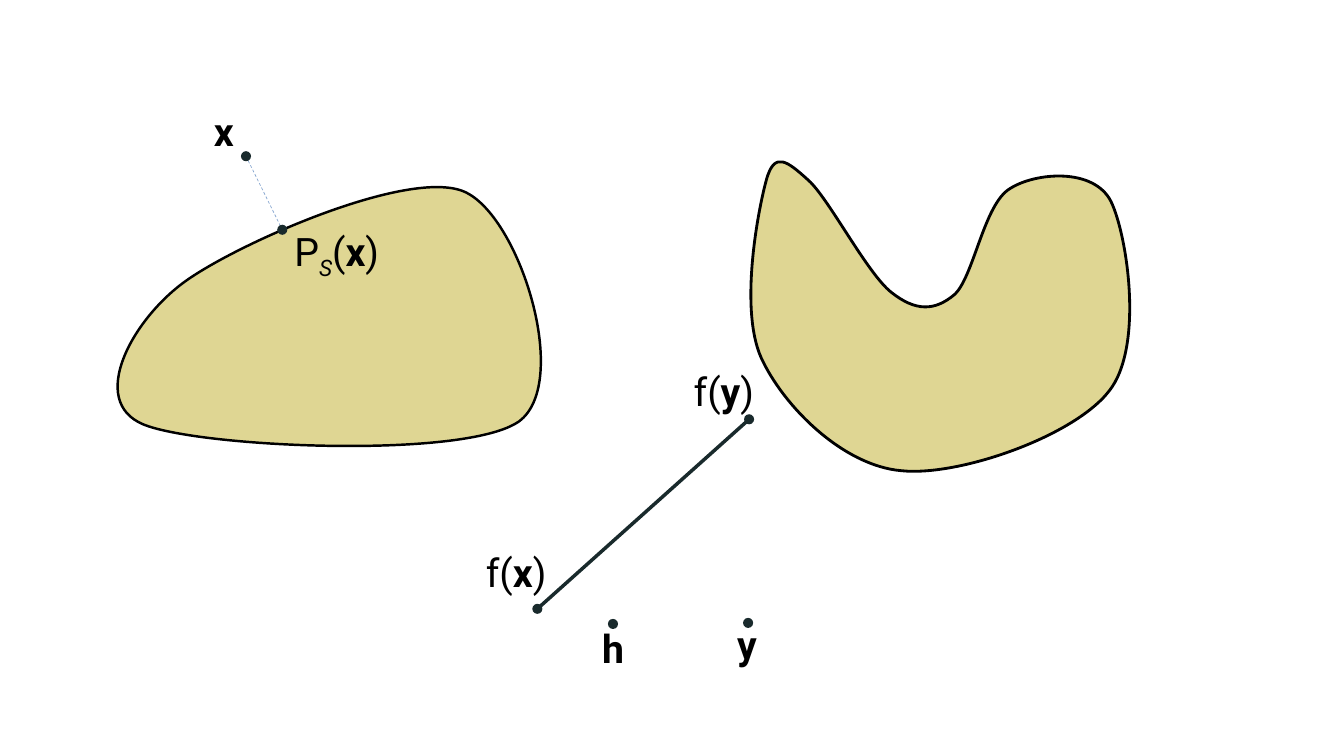
from lxml import etree
from pptx import Presentation
from pptx.dml.color import RGBColor
from pptx.enum import dml, shapes, text
from pptx.oxml import ns
from pptx.util import Inches, Pt

COLORS = {"set": "DFD693", "outline": "000000", "ink": "192A2C",
          "label": "000000", "projection": "87A7D0"}
DOT = 0.1
LABEL_W, LABEL_H = 1.1, 0.57
BOLD, SUBSCRIPT = {"bold": True}, {"italic": True}

# Region boxes: left, top, width, height
CONVEX_BOX = (1.17, 1.86, 4.2, 2.57)
NONCONVEX_BOX = (7.44, 1.6, 3.76, 3.08)
MAPPING_BOX = (5.33, 4.16, 2.1, 1.88)

# Outlines: start point, then two controls and an end per curve, from the box corner
CONVEX = [(0.67, 0.93),
          (1.2, 0.55), (2.88, -0.19), (3.43, 0.04),
          (3.98, 0.27), (4.5, 1.93), (3.98, 2.32),
          (3.45, 2.7), (0.8, 2.58), (0.25, 2.35),
          (-0.3, 2.12), (0.14, 1.31), (0.67, 0.93)]
NONCONVEX = [(0.58, 0.19),
             (0.78, 0.37), (1.16, 1.11), (1.4, 1.3),
             (1.64, 1.49), (1.83, 1.49), (2.03, 1.32),
             (2.22, 1.14), (2.32, 0.42), (2.58, 0.27),
             (2.83, 0.11), (3.41, 0.06), (3.58, 0.4),
             (3.74, 0.73), (3.91, 1.84), (3.56, 2.28),
             (3.21, 2.73), (2.07, 3.13), (1.5, 3.07),
             (0.92, 3.02), (0.33, 2.43), (0.11, 1.95),
             (-0.11, 1.46), (0.08, 0.48), (0.16, 0.19),
             (0.24, -0.11), (0.37, 0), (0.58, 0.19)]


def color(name):
    return RGBColor.from_string(COLORS[name])


def apply(target, values):
    for key, value in values.items():
        setattr(target, key, value)


def add_set(slide, box, outline, weight):
    """Draw a closed region bounded by smooth curves."""
    left, top, width, height = (Inches(v) for v in box)
    builder = slide.shapes.build_freeform(left, top)
    builder.add_line_segments([(left + width, top), (left + width, top + height),
                               (left, top + height)])
    region = builder.convert_to_shape()
    region.shadow.inherit = False
    region.fill.solid()
    region.fill.fore_color.rgb = color("set")
    region.line.color.rgb = color("outline")
    region.line.width = Pt(weight)

    # Curves take the place of the straight frame
    contour = region._element.find(".//" + ns.qn("a:path"))
    for child in list(contour):
        contour.remove(child)
    steps = [("a:moveTo", outline[:1])]
    steps += [("a:cubicBezTo", outline[i:i + 3]) for i in range(1, len(outline), 3)]
    for tag, points in steps:
        step = etree.SubElement(contour, ns.qn(tag))
        for x, y in points:
            etree.SubElement(step, ns.qn("a:pt"), x=str(Inches(x)), y=str(Inches(y)))
    etree.SubElement(contour, ns.qn("a:close"))


def add_segment(slide, start, end, hue, weight, dash=None):
    ends = [Inches(v) for v in (*start, *end)]
    segment = slide.shapes.add_connector(shapes.MSO_CONNECTOR.STRAIGHT, *ends)
    segment.line.color.rgb = color(hue)
    apply(segment.line, {"width": Pt(weight), "dash_style": dash})
    etree.SubElement(segment._element.spPr, ns.qn("a:effectLst"))


def add_point(slide, center, offset, runs):
    """Draw a dot and its label; offset runs from the dot to the label's corner."""
    x, y = center
    dot = slide.shapes.add_shape(shapes.MSO_SHAPE.OVAL, Inches(x - DOT / 2),
                                 Inches(y - DOT / 2), Inches(DOT), Inches(DOT))
    dot.shadow.inherit = False
    dot.fill.solid()
    dot.fill.fore_color.rgb = color("ink")
    dot.line.fill.background()

    label = slide.shapes.add_textbox(Inches(x + offset[0]), Inches(y + offset[1]),
                                     Inches(LABEL_W), Inches(LABEL_H))
    apply(label.text_frame, {"word_wrap": True,
                             "auto_size": text.MSO_AUTO_SIZE.SHAPE_TO_FIT_TEXT})
    paragraph = label.text_frame.paragraphs[0]
    paragraph.alignment = text.PP_ALIGN.CENTER
    for content, style in runs:
        run = paragraph.add_run()
        run.text = content
        apply(run.font, {"name": "Roboto", "size": Pt(28), **style})
        run.font.color.rgb = color("label")
        if style is SUBSCRIPT:
            run._r.get_or_add_rPr().set("baseline", "-25000")


def add_projection(slide, box):
    """Convex set with the point x projected onto its boundary."""
    left, top = box[:2]
    x, foot = (left + 1.27, top - 0.31), (left + 1.63, top + 0.42)
    add_set(slide, box, CONVEX, 1.75)
    add_segment(slide, x, foot, "projection", 0.5, dml.MSO_LINE.DASH)
    add_point(slide, x, (-0.77, -0.53), [("x", BOLD)])
    add_point(slide, foot, (-0.01, -0.07),
              [("P", {}), ("S", SUBSCRIPT), ("(", {}), ("x", BOLD), (")", {})])


def add_mapping(slide, box):
    """Segment from f(x) to f(y), with the points h and y below."""
    left, top, width, height = box
    fx, fy = (left, top + height), (left + width, top)
    add_segment(slide, fx, fy, "ink", 2.5)
    add_point(slide, fx, (-0.76, -0.65), [("f(", {}), ("x", BOLD), (")", {})])
    add_point(slide, fy, (-0.8, -0.57), [("f(", {}), ("y", BOLD), (")", {})])
    add_point(slide, (left + 0.75, top + 2.03), (-0.55, -0.05), [("h", BOLD)])
    add_point(slide, (left + 2.09, top + 2.02), (-0.56, -0.08), [("y", BOLD)])


def main():
    deck = Presentation()
    apply(deck, {"slide_width": Inches(13.33), "slide_height": Inches(7.5)})
    slide = deck.slides.add_slide(deck.slide_layouts[6])
    add_projection(slide, CONVEX_BOX)
    add_set(slide, NONCONVEX_BOX, NONCONVEX, 2)
    add_mapping(slide, MAPPING_BOX)
    deck.save("out.pptx")


if __name__ == "__main__":
    main()
